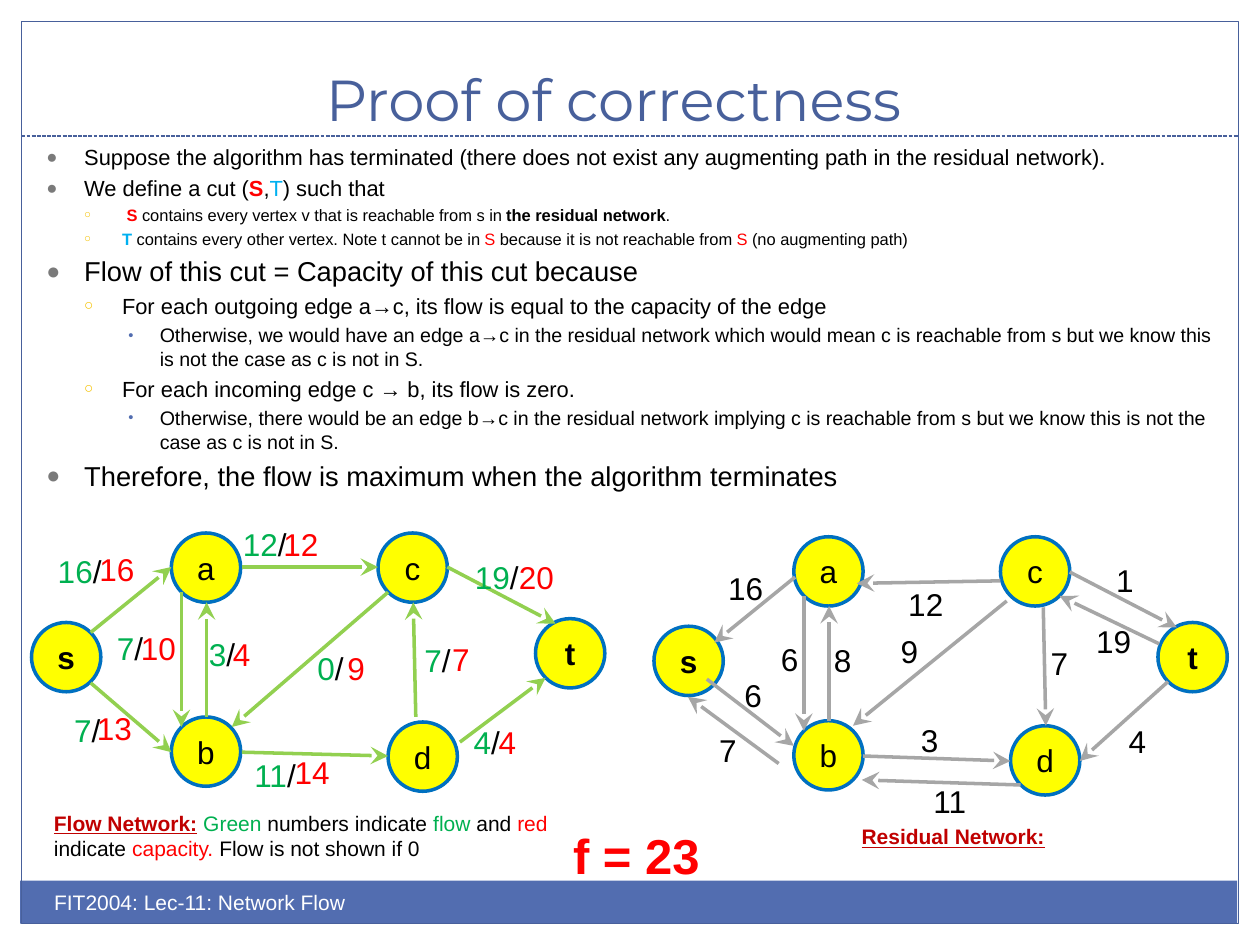
from lxml import etree
from pptx import Presentation
from pptx.dml.color import RGBColor
from pptx.enum.dml import MSO_LINE
from pptx.enum.shapes import MSO_CONNECTOR, MSO_SHAPE
from pptx.enum.text import MSO_ANCHOR, PP_ALIGN
from pptx.oxml.ns import qn
from pptx.util import Emu, Pt

SCALE = 9144  # 100 px to the inch
LINE, DASH = MSO_CONNECTOR.STRAIGHT, MSO_LINE.SQUARE_DOT
RECT, OVAL = MSO_SHAPE.RECTANGLE, MSO_SHAPE.OVAL
LEFT, CENTER = PP_ALIGN.LEFT, PP_ALIGN.CENTER
MIDDLE, BOTTOM = MSO_ANCHOR.MIDDLE, MSO_ANCHOR.BOTTOM
BLACK, WHITE, RED, GREEN, CYAN = "000000", "FFFFFF", "FF0000", "00B050", "00B0F0"
NAVY, BAR, DARK, YELLOW, BLUE = "48609B", "526DB0", "C00000", "FFFF00", "0070C0"
LIME, GRAY = "92D050", "A6A6A6"

# Per level: left edge, hanging indent, bullet, bullet colour, bullet size in %
LEVELS = [(30, 30, "●", "7A7A7A", 85),
          (60, 30, "○", "F5C201", 70),
          (90, 25, "•", BAR, 75)]

# Level, size, runs of text, colour and bold
BODY = [
    (0, 12.5, [("Suppose the algorithm has terminated (there does not exist any "
                "augmenting path in the residual network).",)]),
    (0, 12.5, [("We define a cut (",), ("S", RED, True), (",",), ("T", CYAN),
               (") such that",)]),
    (1, 9.4, [(" ",), ("S", RED, True),
              (" contains every vertex v that is reachable from s in ",),
              ("the residual network", BLACK, True), (".",)]),
    (1, 9.4, [("T", CYAN, True),
              (" contains every other vertex. Note t cannot be in ",), ("S", RED),
              (" because it is not reachable from ",), ("S", RED),
              (" (no augmenting path)",)]),
    (0, 15.6, [("Flow of this cut = Capacity of this cut because",)]),
    (1, 12.5, [("For each outgoing edge a→c, its flow is equal to the capacity "
                "of the edge",)]),
    (2, 11.2, [("Otherwise, we would have an edge a→c in the residual network "
                "which would mean c is reachable from s but we know this is not "
                "the case as c is not in S.",)]),
    (1, 12.5, [("For each incoming edge c → b, its flow is zero.",)]),
    (2, 11.2, [("Otherwise, there would be an edge b→c in the residual network "
                "implying c is reachable from s but we know this is not the case "
                "as c is not in S.",)]),
    (0, 15.6, [("Therefore, the flow is maximum when the algorithm terminates",)]),
]
CAPTION = [("Flow Network:", DARK, True, True), (" Green", GREEN),
           (" numbers indicate ",), ("flow", GREEN), (" and ",), ("red", RED),
           (" indicate ",), ("capacity. ", RED), ("Flow is not shown if 0",)]

NODES = {"s": (25, 494), "a": (136, 423), "b": (136, 569),
         "c": (300, 423), "d": (308, 573), "t": (425, 491)}
SHIFT = (494, 3)  # from the flow network to the residual network

FLOW_EDGES = [
    (72, 502, 136, 450), (72, 542, 136, 597), (144, 470, 144, 577),
    (192, 450, 300, 450), (355, 450, 441, 495), (330, 569, 328, 478),
    (308, 470, 184, 577), (164, 569, 164, 478), (192, 597, 308, 600),
    (365, 589, 433, 538)]
REST_EDGES = [
    (561, 539, 630, 592), (638, 473, 638, 580), (849, 454, 934, 498),
    (799, 477, 677, 576), (658, 572, 658, 481), (685, 600, 802, 604),
    (927, 541, 857, 604), (631, 458, 567, 510), (794, 461, 680, 463),
    (810, 623, 684, 619), (828, 482, 830, 576), (920, 511, 841, 473),
    (618, 606, 546, 553)]

# Flow with its place, then capacity with its place
FLOWS = [
    ("16", 36, 433, "16", 69, 432), ("7", 49, 559, "13", 67, 558),
    ("7", 83, 494, "10", 102, 494), ("3", 156, 499, "4", 175, 499),
    ("0", 242, 510, "9", 266, 510), ("11", 192, 595, "14", 224, 593),
    ("19", 367, 438, "20", 402, 438), ("7", 327, 504, "7", 349, 503),
    ("12", 183, 412, "12", 215, 412), ("4", 366, 569, "4", 386, 569)]
RESTS = [
    ("6", 581, 532), ("6", 610, 503), ("8", 652, 504), ("9", 705, 497),
    ("3", 721, 567), ("1", 876, 440), ("7", 824, 506), ("4", 886, 568),
    ("16", 568, 447), ("12", 711, 459), ("11", 731, 616), ("19", 860, 489),
    ("7", 561, 575)]


def px(*vals):
    return [Emu(v * SCALE) for v in vals]


def rgb(code):
    return RGBColor.from_string(code)


class Board:
    """Holds the current slide and its text style."""

    def __init__(self, slide, font="Arial"):
        self.slide, self.font = slide, font

    def style(self, run, size, color=BLACK, bold=False, under=False, font=None):
        face = run.font
        face.name, face.size = font or self.font, Pt(size)
        face.bold, face.underline = bold, under
        face.color.rgb = rgb(color)

    def fill(self, para, runs, size):
        for text, *look in runs:
            run = para.add_run()
            run.text = text
            self.style(run, size, *look)

    def title(self, text, box):
        shape = self.slide.shapes.title
        shape.left, shape.top, shape.width, shape.height = px(*box)
        frame = shape.text_frame
        frame.text = text
        frame.vertical_anchor = BOTTOM
        frame.margin_bottom = px(2)[0]
        para = frame.paragraphs[0]
        para.alignment = CENTER
        self.style(para.runs[0], 33, NAVY, font="Montserrat")

    def shape(self, kind, box, fill=None, line=None, width=0.75):
        item = self.slide.shapes.add_shape(kind, *px(*box))
        item.shadow.inherit = False
        if fill:
            item.fill.solid()
            item.fill.fore_color.rgb = rgb(fill)
        else:
            item.fill.background()
        if line:
            item.line.color.rgb = rgb(line)
            item.line.width = Pt(width)
        else:
            item.line.fill.background()
        return item

    def label(self, item, text, size, color, align=CENTER, pad=0, bold=False):
        """Put one line of text inside a shape."""
        frame = item.text_frame
        frame.text = text
        frame.word_wrap = True
        frame.vertical_anchor = MIDDLE
        frame.margin_left = px(pad)[0]
        frame.margin_right = frame.margin_top = frame.margin_bottom = 0
        frame.paragraphs[0].alignment = align
        self.style(frame.paragraphs[0].runs[0], size, color, bold)

    def node(self, name, x, y):
        item = self.shape(OVAL, (x, y, 55, 55), YELLOW, BLUE, 2)
        self.label(item, name, 18, BLACK, bold=name in "st")

    def line(self, ends, color, width=2, head=True):
        item = self.slide.shapes.add_connector(LINE, *px(*ends))
        item.line.color.rgb = rgb(color)
        item.line.width = Pt(width)
        if head:
            etree.SubElement(item.line._get_or_add_ln(), qn("a:tailEnd"),
                             type="stealth", w="lg", len="lg")
        etree.SubElement(item._element.spPr, qn("a:effectLst"))
        return item

    def text(self, box, runs, size, wrap=True):
        frame = self.slide.shapes.add_textbox(*px(*box)).text_frame
        frame.word_wrap = wrap
        self.fill(frame.paragraphs[0], runs, size)

    def tag(self, x, y, num, color=BLACK, slash=False):
        """Write an edge number, with a black slash after a flow."""
        wide = 20 + 14 * len(num) + 7 * slash
        runs = [(num, color)] + [("/",)] * slash
        self.text((x, y, wide, 40), runs, 18, wrap=False)

    def bullets(self, box, rows):
        frame = self.slide.shapes.add_textbox(*px(*box)).text_frame
        frame.word_wrap = True
        for i, (level, size, runs) in enumerate(rows):
            para = frame.add_paragraph() if i else frame.paragraphs[0]
            para.level = level
            para.space_before = Pt(round(0.23 * size, 1))
            left, hang, mark, color, part = LEVELS[level]
            props = para._p.get_or_add_pPr()
            props.set("marL", str(left * SCALE))
            props.set("indent", str(-hang * SCALE))
            tint = etree.SubElement(props, qn("a:buClr"))
            etree.SubElement(tint, qn("a:srgbClr"), val=color)
            etree.SubElement(props, qn("a:buSzPct"), val=str(part * 1000))
            etree.SubElement(props, qn("a:buFont"), typeface=self.font)
            etree.SubElement(props, qn("a:buChar"), char=mark)
            self.fill(para, runs, size)


def main():
    deck = Presentation()
    deck.slide_width, deck.slide_height = px(1000, 750)
    board = Board(deck.slides.add_slide(deck.slide_layouts[5]))

    bar = board.shape(RECT, (16, 699, 966, 34), BAR)
    board.label(bar, "FIT2004: Lec-11: Network Flow", 12, WHITE, LEFT, 27)
    board.shape(RECT, (17, 17, 966, 716), line=NAVY)
    rule = board.line((17, 108, 983, 108), NAVY, 0.75, head=False)
    rule.line.dash_style = DASH
    board.title("Proof of correctness", (8, 25, 958, 83))
    board.bullets((27, 109, 948, 262), BODY)

    for dx, dy in ((0, 0), SHIFT):
        for name, (x, y) in NODES.items():
            board.node(name, x + dx, y + dy)
    for edges, color in ((FLOW_EDGES, LIME), (REST_EDGES, GRAY)):
        for ends in edges:
            board.line(ends, color)
    for flow, x, y, cap, cx, cy in FLOWS:
        board.tag(x, y, flow, GREEN, slash=True)
        board.tag(cx, cy, cap, RED)
    for num, x, y in RESTS:
        board.tag(x, y, num)

    board.text((33, 638, 447, 50), CAPTION, 12)
    board.text((674, 649, 300, 30), [("Residual Network:", DARK, True, True)], 12)
    board.text((445, 650, 122, 57), [("f = 23", RED, True)], 28, wrap=False)
    deck.save("out.pptx")


if __name__ == "__main__":
    main()
